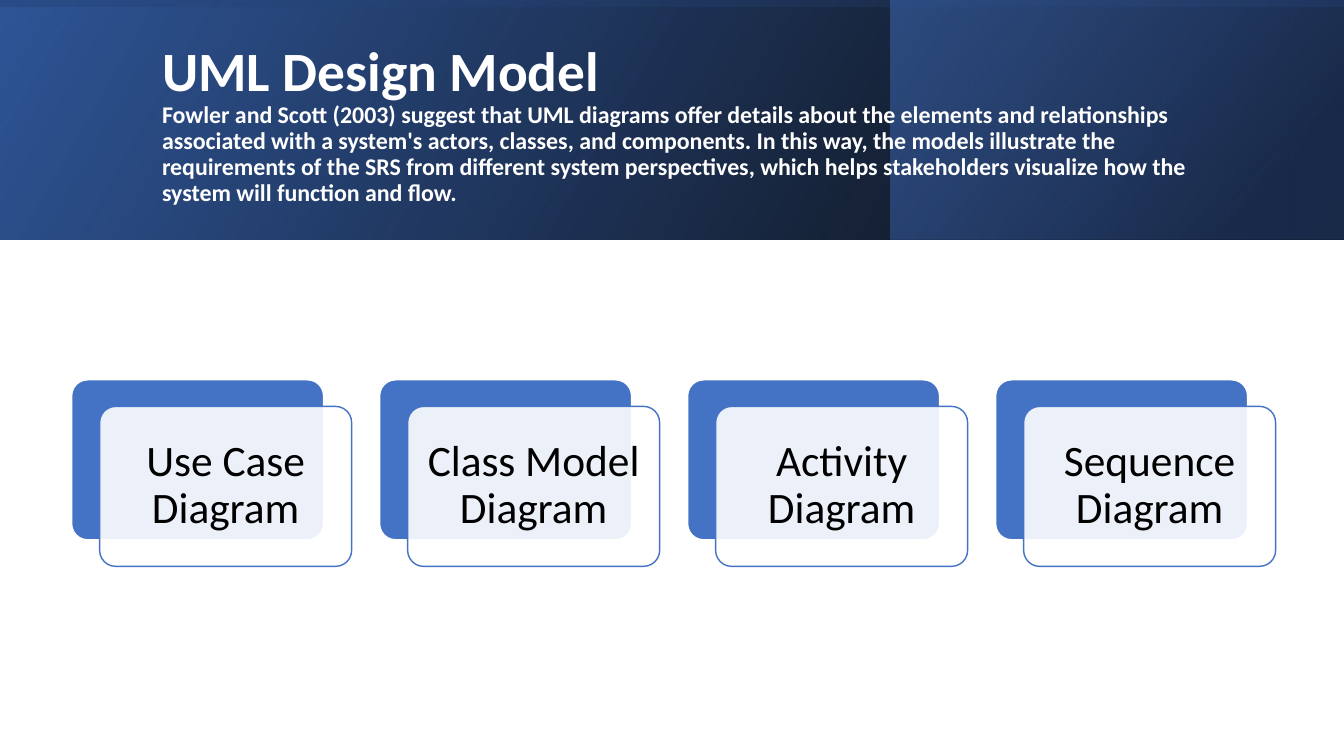
from lxml import etree
from pptx import Presentation
from pptx.dml.color import RGBColor
from pptx.enum.shapes import MSO_SHAPE as Shape
from pptx.enum.text import MSO_ANCHOR as Anchor, PP_ALIGN as Align
from pptx.oxml.ns import qn
from pptx.util import Pt

WHITE = RGBColor(0xFF, 0xFF, 0xFF)
BLACK = RGBColor(0, 0, 0)
BLUE = RGBColor(0x44, 0x72, 0xC4)
DEEP_BLUE = RGBColor(0x2F, 0x55, 0x97)
NAVY = RGBColor(0x20, 0x38, 0x64)

FONT = "Calibri"
SLIDE_WIDTH, SLIDE_HEIGHT = 960, 540
HEADER_HEIGHT = 170.8
ACCENT_LEFT = 636.2

TITLE = "UML Design Model"
SUMMARY = (
    "Fowler and Scott (2003) suggest that UML diagrams offer details about the "
    "elements and relationships associated with a system's actors, classes, and "
    "components. In this way, the models illustrate the requirements of the SRS "
    "from different system perspectives, which helps stakeholders visualize how "
    "the system will function and flow."
)
DIAGRAMS = ["Use Case Diagram", "Class Model Diagram", "Activity Diagram", "Sequence Diagram"]


def set_alpha(color_element, percent):
    etree.SubElement(color_element, qn("a:alpha"), val=str(percent * 1000))


def add_gradient_panel(slide, left, top, width, height, stops, angle, rotation=0):
    panel = slide.shapes.add_shape(Shape.RECTANGLE, Pt(left), Pt(top), Pt(width), Pt(height))
    panel.shadow.inherit = False
    panel.line.fill.background()
    panel.rotation = rotation
    properties = panel._element.spPr
    properties.find(qn("a:xfrm")).set("flipH", "1")
    gradient = etree.Element(qn("a:gradFill"), rotWithShape="1")
    stop_list = etree.SubElement(gradient, qn("a:gsLst"))
    for position, color, alpha in stops:
        stop = etree.SubElement(stop_list, qn("a:gs"), pos=str(position * 1000))
        set_alpha(etree.SubElement(stop, qn("a:srgbClr"), val=str(color)), alpha)
    etree.SubElement(gradient, qn("a:lin"), ang=str(angle * 60000), scaled="0")
    properties.find(qn("a:prstGeom")).addnext(gradient)


def add_header(slide, left, top, width, height):
    add_gradient_panel(slide, left, top, width, height,
                       [(0, BLACK, 96), (100, DEEP_BLUE, 100)], 330)
    add_gradient_panel(slide, left + ACCENT_LEFT, top, width - ACCENT_LEFT, height,
                       [(19, NAVY, 68), (100, BLUE, 48)], 320)
    shift = (width - height) / 2
    add_gradient_panel(slide, left + shift, top - shift, height, width,
                       [(23, DEEP_BLUE, 16), (99, BLACK, 45)], 350, rotation=270)

    box = slide.shapes.add_textbox(Pt(left + 108.7), Pt(top + 27.4), Pt(765.4), Pt(123.8))
    frame = box.text_frame
    frame.word_wrap = True
    frame.vertical_anchor = Anchor.MIDDLE
    paragraph = frame.paragraphs[0]
    paragraph.line_spacing = 0.9
    paragraph.font.name = FONT
    paragraph.font.bold = True
    paragraph.font.color.rgb = WHITE
    title = paragraph.add_run()
    title.text = TITLE
    title.font.size = Pt(39.6)
    paragraph.add_line_break()
    summary = paragraph.add_run()
    summary.text = SUMMARY
    summary.font.size = Pt(17.1)


def add_card_plate(slide, left, top, width, height, fill, line):
    plate = slide.shapes.add_shape(Shape.ROUNDED_RECTANGLE, Pt(left), Pt(top), Pt(width), Pt(height))
    plate.adjustments[0] = 0.1
    plate.shadow.inherit = False
    plate.fill.solid()
    plate.fill.fore_color.rgb = fill
    plate.line.color.rgb = line
    plate.line.width = Pt(1)
    return plate


def add_card(slide, left, top, width, height, label):
    add_card_plate(slide, left, top, width, height, BLUE, WHITE)
    front = add_card_plate(slide, left + 20, top + 19, width, height, WHITE, BLUE)
    set_alpha(front._element.spPr.find(qn("a:solidFill"))[0], 90)
    frame = front.text_frame
    frame.word_wrap = True
    frame.vertical_anchor = Anchor.MIDDLE
    frame.margin_left = frame.margin_right = Pt(9.3)
    frame.margin_top = frame.margin_bottom = Pt(9.3)
    paragraph = frame.paragraphs[0]
    paragraph.text = label
    paragraph.alignment = Align.CENTER
    paragraph.line_spacing = 0.9
    paragraph.font.name = FONT
    paragraph.font.size = Pt(31)
    paragraph.font.color.rgb = BLACK


def add_card_row(slide, left, top, pitch, width, height, labels):
    for index, label in enumerate(labels):
        add_card(slide, left + index * pitch, top, width, height, label)


def main():
    presentation = Presentation()
    presentation.slide_width = Pt(SLIDE_WIDTH)
    presentation.slide_height = Pt(SLIDE_HEIGHT)
    slide = presentation.slides.add_slide(presentation.slide_layouts[6])
    add_header(slide, 0, 0, SLIDE_WIDTH, HEADER_HEIGHT)
    add_card_row(slide, 51.2, 271.3, 220, 180, 114.3, DIAGRAMS)
    presentation.save("out.pptx")


if __name__ == "__main__":
    main()
